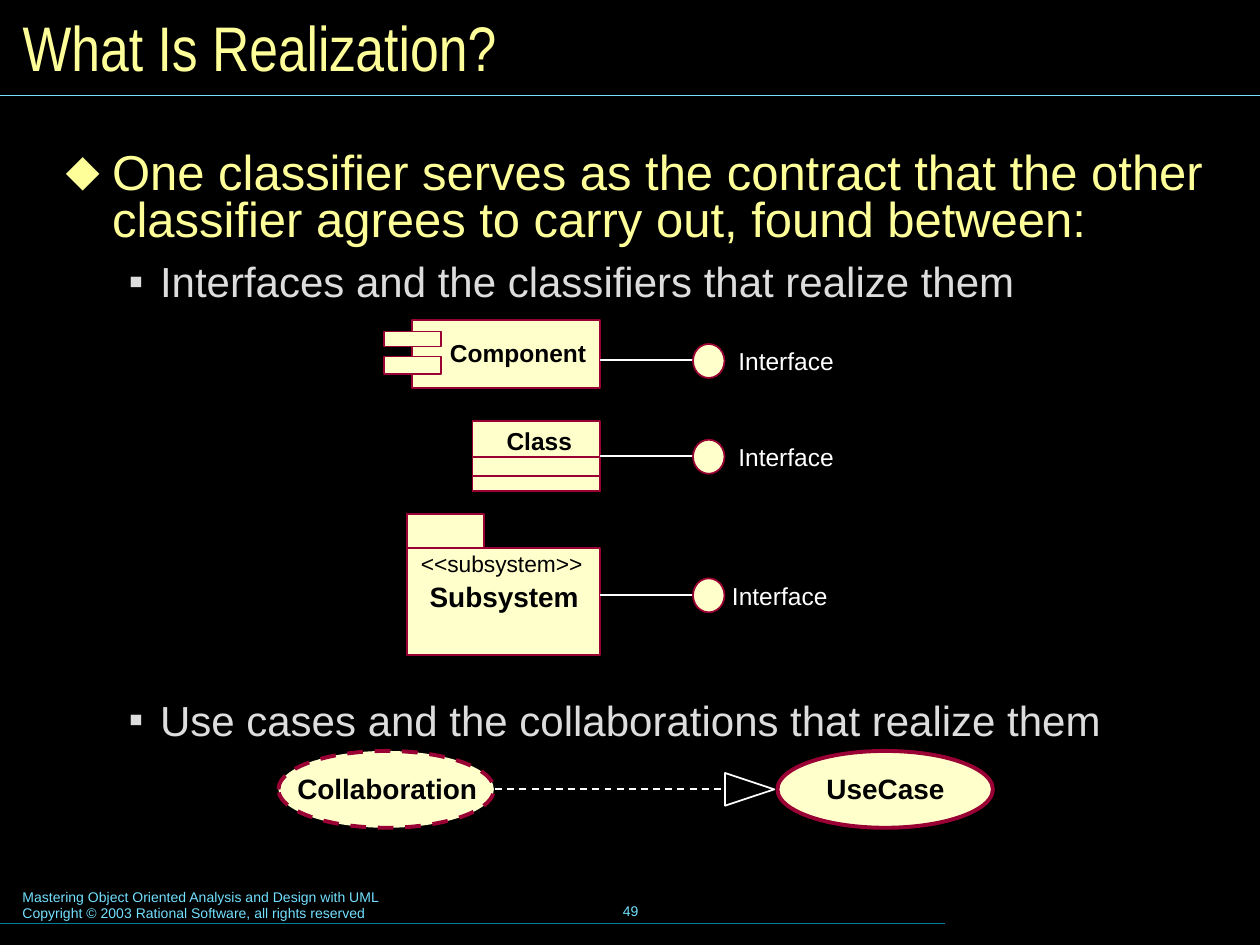
"""Build a slide that explains realization in UML."""
import lxml.etree
import pptx
import pptx.dml.color
import pptx.enum.dml
import pptx.enum.shapes
import pptx.enum.text
import pptx.oxml.ns
import pptx.util

Inches = pptx.util.Inches
Pt = pptx.util.Pt
Color = pptx.dml.color.RGBColor
Kind = pptx.enum.shapes.MSO_SHAPE
Align = pptx.enum.text.PP_ALIGN
Anchor = pptx.enum.text.MSO_ANCHOR
DASH = pptx.enum.dml.MSO_LINE.DASH
qn = pptx.oxml.ns.qn

BLACK = Color(0x00, 0x00, 0x00)
WHITE = Color(0xFF, 0xFF, 0xFF)
GRAY = Color(0xDD, 0xDD, 0xDD)
YELLOW = Color(0xFF, 0xFF, 0x99)
CREAM = Color(0xFF, 0xFF, 0xCC)
WINE = Color(0x99, 0x00, 0x33)
SKY = Color(0x73, 0xE1, 0xFF)
TEAL = Color(0x00, 0x7E, 0x9F)


def apply(item, values):
    for name, value in values.items():
        setattr(item, name, value)


def style(frame, size, color, bold=False, face="Arial", align=Align.LEFT):
    look = {"name": face, "size": Pt(size), "bold": bold}
    for para in frame.paragraphs:
        para.alignment = align
        for run in para.runs:
            apply(run.font, look)
            run.font.color.rgb = color


def inset(frame, wide, high):
    apply(frame, {"margin_left": Inches(wide), "margin_right": Inches(wide),
                  "margin_top": Inches(high), "margin_bottom": Inches(high),
                  "auto_size": pptx.enum.text.MSO_AUTO_SIZE.NONE})


def place(shape, left, top, width, height):
    apply(shape, {"left": Inches(left), "top": Inches(top),
                  "width": Inches(width), "height": Inches(height)})


def label(slide, text, spot, size, color, pad=(0, 0), wrap=False, **look):
    box = slide.shapes.add_textbox(*map(Inches, spot))
    frame = box.text_frame
    inset(frame, *pad)
    frame.word_wrap = wrap
    frame.text = text
    style(frame, size, color, **look)
    return frame


def shape(slide, kind, spot, fill=CREAM, edge=WINE, width=1, dash=None):
    item = slide.shapes.add_shape(kind, *map(Inches, spot))
    item.shadow.inherit = False
    if fill is None:
        item.fill.background()
    else:
        item.fill.solid()
        item.fill.fore_color.rgb = fill
    item.line.color.rgb = edge
    apply(item.line, {"width": Pt(width), "dash_style": dash})
    return item


def line(slide, start, end, color=WHITE, width=1, dash=None):
    straight = pptx.enum.shapes.MSO_CONNECTOR.STRAIGHT
    item = slide.shapes.add_connector(straight, *map(Inches, start + end))
    item.line.color.rgb = color
    apply(item.line, {"width": Pt(width), "dash_style": dash})
    lxml.etree.SubElement(item._element.spPr, qn("a:effectLst"))
    return item


def bullet(para, mark, left, hang):
    props = para._p.get_or_add_pPr()
    props.set("marL", str(Inches(left)))
    props.set("indent", str(-Inches(hang)))
    lxml.etree.SubElement(props, qn("a:buChar"), char=mark)


def heading(slide):
    title = slide.shapes.title
    place(title, 0.08, 0.08, 9.84, 0.58)
    frame = title.text_frame
    frame.text = "What Is Realization?"
    inset(frame, 0.1, 0.05)
    frame.vertical_anchor = Anchor.MIDDLE
    style(frame, 36, YELLOW, face="Arial Narrow")


def content(slide):
    body = slide.placeholders[1]
    place(body, 0.4, 1.15, 9.39, 5.52)
    frame = body.text_frame
    inset(frame, 0.12, 0.06)
    rows = [
        ("One classifier serves as the contract that the other classifier "
         "agrees to carry out, found between:", 0, 0.8, 0),
        ("Interfaces and the classifiers that realize them", 1, 0.87, 9),
        ("Use cases and the collaborations that realize them", 1, 0.77, 228),
    ]
    looks = [("⬥", 0.37, 0.37, 28, YELLOW), ("▪", 0.75, 0.25, 24, GRAY)]
    frame.text = "\n".join(row[0] for row in rows)
    for para, (text, level, pitch, gap) in zip(frame.paragraphs, rows):
        mark, left, hang, size, color = looks[level]
        bullet(para, mark, left, hang)
        apply(para, {"level": level, "line_spacing": pitch,
                     "space_before": Pt(gap), "alignment": Align.LEFT})
        apply(para.runs[0].font, {"name": "Arial", "size": Pt(size)})
        para.runs[0].font.color.rgb = color


def port(slide, high, left, box=None):
    link = line(slide, (4.76, high), (5.5, high))
    if box is not None:
        link.begin_connect(box, 3)
    shape(slide, Kind.OVAL, (5.5, high - 0.13, 0.25, 0.27))
    label(slide, "Interface", (left, high - 0.11, 0.76, 0.23), 14, WHITE)


def component(slide):
    shape(slide, Kind.RECTANGLE, (3.27, 2.54, 1.49, 0.54))
    for top, height in ((2.63, 0.12), (2.83, 0.14)):
        shape(slide, Kind.RECTANGLE, (3.05, top, 0.45, height))
    label(slide, "Component", (3.57, 2.68, 1.08, 0.23), 14, BLACK, bold=True)
    port(slide, 2.86, 5.86)


def category(slide):
    box = shape(slide, Kind.RECTANGLE, (3.75, 3.34, 1.01, 0.56))
    for top in (3.63, 3.78):
        shape(slide, Kind.RECTANGLE, (3.75, top, 1.01, 3.9 - top))
    label(slide, "Class", (4.02, 3.38, 0.52, 0.23), 14, BLACK, bold=True)
    port(slide, 3.62, 5.86, box)


def subsystem(slide):
    shape(slide, Kind.RECTANGLE, (3.23, 4.35, 1.53, 0.85))
    shape(slide, Kind.RECTANGLE, (3.23, 4.08, 0.61, 0.27))
    label(slide, "<<subsystem>>", (3.34, 4.36, 1.28, 0.22), 13, BLACK)
    label(slide, "Subsystem", (3.41, 4.6, 1.18, 0.27), 16, BLACK, bold=True)
    port(slide, 4.72, 5.81)


def usage(slide):
    for text, left, start, width, dash in (
            ("Collaboration", 2.21, 2.36, 1.43, DASH),
            ("UseCase", 6.17, 6.56, 0.94, None)):
        shape(slide, Kind.OVAL, (left, 5.96, 1.71, 0.61), width=2.25, dash=dash)
        label(slide, text, (start, 6.12, width, 0.27), 16, BLACK, bold=True)
    line(slide, (3.93, 6.26), (5.72, 6.26), dash=DASH)
    head = shape(slide, Kind.ISOSCELES_TRIANGLE, (5.82, 6.07, 0.26, 0.39),
                 fill=None, edge=WHITE)
    head.rotation = 90


def footer(slide):
    label(slide, "Mastering Object Oriented Analysis and Design with UML\n"
          "Copyright © 2003 Rational Software, all rights reserved",
          (0.08, 7, 5.1, 0.37), 8, SKY, pad=(0.1, 0.05), wrap=True)
    page = label(slide, "49", (3.42, 6.98, 3.17, 0.5), 8, SKY,
                 pad=(0.1, 0.05), wrap=True, align=Align.CENTER)
    page.vertical_anchor = Anchor.MIDDLE
    line(slide, (0, 7.33), (7.5, 7.33), TEAL, 0.75)
    line(slide, (0, 0.76), (10, 0.76), SKY, 0.75)


def main():
    deck = pptx.Presentation()
    apply(deck, {"slide_width": Inches(10), "slide_height": Inches(7.5)})
    slide = deck.slides.add_slide(deck.slide_layouts[1])
    slide.background.fill.solid()
    slide.background.fill.fore_color.rgb = BLACK
    for draw in (footer, heading, content, component, category, subsystem,
                 usage):
        draw(slide)
    deck.save("out.pptx")


if __name__ == "__main__":
    main()
